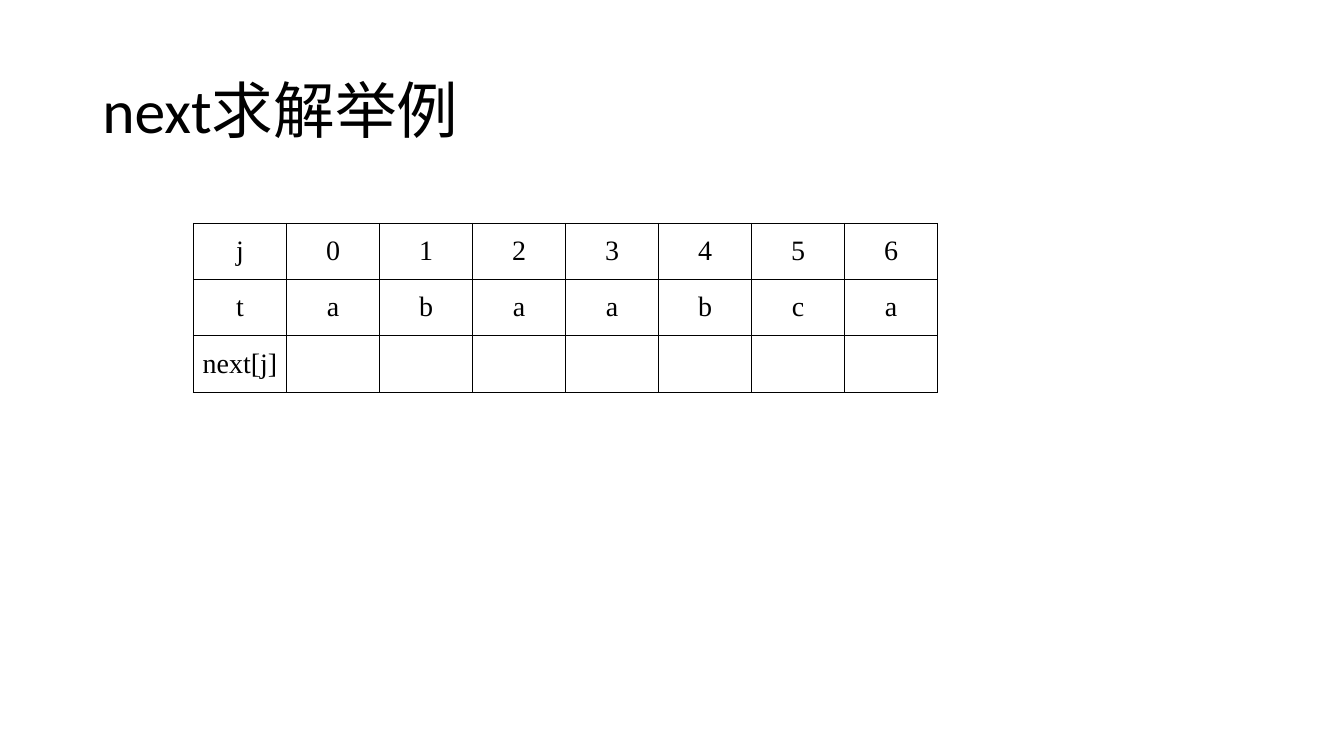
import pptx
import pptx.util
import pptx.dml.color
import pptx.enum.text
import pptx.oxml
import pptx.oxml.ns

Pt = pptx.util.Pt
RGB = pptx.dml.color.RGBColor
ALIGN = pptx.enum.text.PP_ALIGN
ANCHOR = pptx.enum.text.MSO_ANCHOR

COLORS = {"text": "000000", "border": "000000"}
ROWS = [
    ["j", "0", "1", "2", "3", "4", "5", "6"],
    ["t", "a", "b", "a", "a", "b", "c", "a"],
    ["next[j]"] + [""] * 7,
]
ROW_HEIGHTS = [39.8, 40.4, 40.8]
COL_WIDTH = 66.45


def add_run(p, text, size, font):
    r = p.add_run()
    r.text = text
    r.font.size = Pt(size)
    r.font.name = font
    r.font.color.rgb = RGB.from_string(COLORS["text"])


def add_borders(cell):
    tcPr = cell._tc.get_or_add_tcPr()
    for side in ("lnL", "lnR", "lnT", "lnB"):
        tcPr.append(pptx.oxml.parse_xml(
            f'<a:{side} {pptx.oxml.ns.nsdecls("a")} w="{Pt(1)}"><a:solidFill>'
            f'<a:srgbClr val="{COLORS["border"]}"/></a:solidFill></a:{side}>'))


prs = pptx.Presentation()
prs.slide_width = Pt(960)
prs.slide_height = Pt(540)
s = prs.slides.add_slide(prs.slide_layouts[6])

title = s.shapes.add_textbox(Pt(66), Pt(28.75), Pt(828), Pt(104.4))
tf = title.text_frame
tf.word_wrap = True
tf.vertical_anchor = ANCHOR.MIDDLE
p = tf.paragraphs[0]
p.line_spacing = 0.9
add_run(p, "next求解举例", 44, "Calibri")

frame = s.shapes.add_table(len(ROWS), len(ROWS[0]), Pt(138.2), Pt(159.6),
                           Pt(COL_WIDTH * len(ROWS[0])), Pt(sum(ROW_HEIGHTS)))
table = frame.table
table.first_row = False
table.horz_banding = False
for col in table.columns:
    col.width = Pt(COL_WIDTH)

for i, (height, row) in enumerate(zip(ROW_HEIGHTS, ROWS)):
    table.rows[i].height = Pt(height)
    for j, text in enumerate(row):
        cell = table.cell(i, j)
        add_borders(cell)
        cell.fill.background()
        cell.vertical_anchor = ANCHOR.MIDDLE
        cell.margin_left = cell.margin_right = Pt(5)
        cell.margin_top = cell.margin_bottom = Pt(0)
        if text:
            p = cell.text_frame.paragraphs[0]
            p.alignment = ALIGN.CENTER
            add_run(p, text, 20, "Times New Roman")

prs.save("out.pptx")
